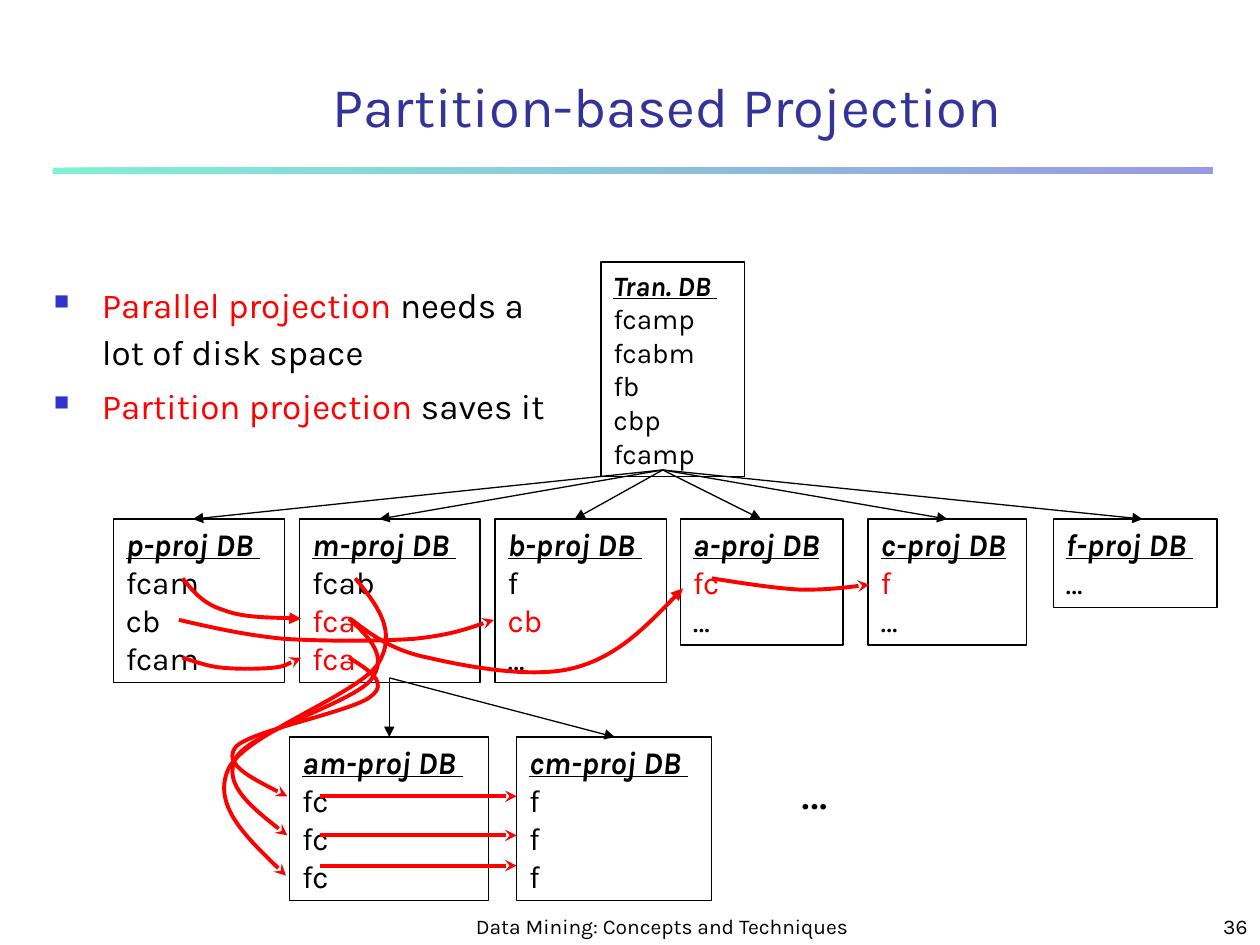
from dataclasses import dataclass

from lxml import etree
from pptx import Presentation
from pptx.dml.color import RGBColor
from pptx.enum.shapes import MSO_CONNECTOR, MSO_SHAPE
from pptx.enum.text import MSO_ANCHOR, MSO_AUTO_SIZE, PP_ALIGN
from pptx.oxml.ns import qn
from pptx.util import Emu, Pt

RECTANGLE = MSO_SHAPE.RECTANGLE
STRAIGHT = MSO_CONNECTOR.STRAIGHT
TOP, MIDDLE, BOTTOM = MSO_ANCHOR.TOP, MSO_ANCHOR.MIDDLE, MSO_ANCHOR.BOTTOM
LEFT, CENTER, RIGHT = PP_ALIGN.LEFT, PP_ALIGN.CENTER, PP_ALIGN.RIGHT
GROW = MSO_AUTO_SIZE.SHAPE_TO_FIT_TEXT

SCALE = 9144  # 100 px to the inch
FONT = "Karla"
BLACK, RED, NAVY, BLUE, GREEN = "000000", "FF0000", "333399", "3333CC", "00E4A8"
THIN, THICK = 0.75, 2.25

Point = tuple[int, int]


@dataclass
class Database:
    left: int
    top: int
    width: int
    height: int
    heading: str
    rows: tuple[str, ...]
    red_rows: tuple[int, ...] = ()
    size: int = 18


@dataclass
class Arrow:
    start: Point
    end: Point
    color: str = BLACK
    weight: float = THIN
    head: str = "triangle"


@dataclass
class Curve:
    """A start point followed by three Bezier points per segment."""
    points: tuple[Point, ...]
    head: str = "stealth"


PROJECTED_TOP, CONDITIONAL_TOP = 412, 585
DATABASES = (
    Database(477, 208, 114, 170, "Tran. DB ",
             ("fcamp", "fcabm", "fb", "cbp", "fcamp"), size=16),
    Database(90, PROJECTED_TOP, 136, 130, "p-proj DB ", ("fcam", "cb", "fcam")),
    Database(238, PROJECTED_TOP, 143, 130, "m-proj DB ", ("fcab", "fca", "fca"), (1, 2)),
    Database(393, PROJECTED_TOP, 136, 130, "b-proj DB ", ("f", "cb", "…"), (1,)),
    Database(540, PROJECTED_TOP, 129, 100, "a-proj DB", ("fc", "…"), (0,)),
    Database(689, PROJECTED_TOP, 126, 100, "c-proj DB", ("f", "…"), (0,)),
    Database(836, PROJECTED_TOP, 130, 70, "f-proj DB ", ("…",)),
    Database(230, CONDITIONAL_TOP, 158, 130, "am-proj DB ", ("fc",) * 3),
    Database(410, CONDITIONAL_TOP, 155, 130, "cm-proj DB ", ("f",) * 3),
)

ARROWS = (
    *(Arrow((526, 373), (x, PROJECTED_TOP)) for x in (153, 301, 456, 604, 752, 907)),
    *(Arrow((309, 538), (x, CONDITIONAL_TOP)) for x in (309, 488)),
    *(Arrow((254, y), (410, y), RED, THICK, "stealth") for y in (632, 663, 687)),
)

CURVES = (
    Curve(((145, 459), (153, 469), (161, 479), (177, 484),
           (192, 490), (216, 490), (239, 491)), "triangle"),
    Curve(((278, 491), (294, 503), (310, 516), (340, 522), (370, 529), (423, 539),
           (456, 530), (490, 521), (516, 494), (542, 467)), "triangle"),
    Curve(((565, 459), (590, 463), (616, 467), (636, 468),
           (657, 468), (673, 466), (690, 464))),
    Curve(((145, 522), (155, 525), (165, 529), (177, 530), (188, 531), (205, 531),
           (216, 530), (226, 529), (232, 525), (239, 522))),
    Curve(((277, 522), (293, 532), (309, 542), (294, 553), (279, 565), (198, 580),
           (187, 593), (177, 606), (202, 619), (228, 632))),
    Curve(((277, 491), (293, 506), (309, 521), (294, 540), (279, 558), (198, 581),
           (187, 602), (177, 622), (202, 643), (228, 663))),
    Curve(((282, 459), (299, 480), (316, 501), (300, 527), (283, 552), (193, 583),
           (181, 611), (169, 639), (198, 667), (227, 695))),
    Curve(((142, 492), (168, 498), (194, 504), (225, 507), (256, 509), (301, 509),
           (329, 507), (357, 504), (374, 498), (392, 492))),
)

BULLETS = (
    ("Parallel projection ", "needs a lot of disk space"),
    ("Partition projection ", "saves it"),
)


def px(length: int) -> Emu:
    return Emu(length * SCALE)


def rgb(color: str) -> RGBColor:
    return RGBColor.from_string(color)


def style(font, size: int, color: str) -> None:
    font.name = FONT
    font.size = Pt(size)
    font.color.rgb = rgb(color)


def add_text(page, left: int, top: int, width: int, height: int, text: str,
             size: int, color: str = BLACK, align=LEFT, anchor=TOP):
    box = page.shapes.add_textbox(px(left), px(top), px(width), px(height))
    frame = box.text_frame
    frame.word_wrap = True
    frame.vertical_anchor = anchor
    frame.text = text
    para = frame.paragraphs[0]
    para.alignment = align
    style(para.font, size, color)
    return frame


def add_rule(page) -> None:
    rule = page.shapes.add_shape(RECTANGLE, px(42), px(133), px(920), px(5))
    rule.shadow.inherit = False
    rule.line.fill.background()
    rule.fill.gradient()
    rule.fill.gradient_angle = 0
    for stop, color in zip(rule.fill.gradient_stops, (GREEN, BLUE)):
        stop.color.rgb = rgb(color)
    for node in rule.fill._xPr.iter(qn("a:srgbClr")):
        etree.SubElement(node, qn("a:alpha"), val="50000")


def add_bullets(page) -> None:
    frame = add_text(page, 33, 217, 425, 175, "", 20)
    for index, (term, rest) in enumerate(BULLETS):
        para = frame.add_paragraph() if index else frame.paragraphs[0]
        para.line_spacing = 1.1
        if index:
            para.space_before = Pt(5)
        properties = para._p.get_or_add_pPr()
        properties.set("marL", str(px(38)))
        properties.set("indent", str(-px(38)))
        for old in properties.findall(qn("a:defRPr")):
            properties.remove(old)
        bullet_color = etree.SubElement(properties, qn("a:buClr"))
        etree.SubElement(bullet_color, qn("a:srgbClr"), val=BLUE)
        etree.SubElement(properties, qn("a:buSzPct"), val="60000")
        etree.SubElement(properties, qn("a:buChar"), char="■")
        for text, color in ((term, RED), (rest, BLACK)):
            span = para.add_run()
            span.text = text
            style(span.font, 20, color)


def add_database(page, database: Database) -> None:
    box = page.shapes.add_shape(RECTANGLE, px(database.left), px(database.top),
                                px(database.width), px(database.height))
    box.shadow.inherit = False
    box.fill.background()
    box.line.color.rgb = rgb(BLACK)
    box.line.width = Pt(THIN)
    frame = box.text_frame
    frame.word_wrap = False
    frame.auto_size = GROW
    frame.vertical_anchor = TOP
    frame.text = "\n".join((database.heading, *database.rows))
    for index, para in enumerate(frame.paragraphs):
        para.alignment = LEFT
        font = para.runs[0].font
        style(font, database.size, RED if index - 1 in database.red_rows else BLACK)
        font.bold = font.italic = font.underline = index == 0


def finish_line(shape, color: str, weight: float, head: str) -> None:
    shape.line.color.rgb = rgb(color)
    shape.line.width = Pt(weight)
    etree.SubElement(shape.line._get_or_add_ln(), qn("a:tailEnd"), type=head)


def add_arrow(page, arrow: Arrow) -> None:
    connector = page.shapes.add_connector(STRAIGHT, *map(px, arrow.start + arrow.end))
    finish_line(connector, arrow.color, arrow.weight, arrow.head)
    etree.SubElement(connector._element.spPr, qn("a:effectLst"))


def add_curve(page, curve: Curve) -> None:
    builder = page.shapes.build_freeform(*curve.points[0], scale=SCALE)
    builder.add_line_segments(curve.points[1:], close=False)
    shape = builder.convert_to_shape()
    shape.shadow.inherit = False
    shape.fill.background()
    finish_line(shape, RED, THICK, curve.head)
    outline = next(shape._element.iter(qn("a:path")))
    lines = outline.findall(qn("a:lnTo"))
    for first in range(0, len(lines), 3):
        bezier = etree.SubElement(outline, qn("a:cubicBezTo"))
        for line in lines[first:first + 3]:
            bezier.append(line[0])
            outline.remove(line)


def main() -> None:
    deck = Presentation()
    deck.slide_width, deck.slide_height = px(1000), px(750)
    page = deck.slides.add_slide(deck.slide_layouts[6])
    add_rule(page)
    add_text(page, 367, 708, 317, 42, "Data Mining: Concepts and Techniques", 12,
             align=CENTER, anchor=BOTTOM)
    add_text(page, 792, 708, 208, 42, "36", 12, align=RIGHT, anchor=BOTTOM)
    add_text(page, 100, 50, 859, 67, "Partition-based Projection", 32, NAVY, CENTER, MIDDLE)
    add_bullets(page)
    for database in DATABASES:
        add_database(page, database)
    for arrow in ARROWS:
        add_arrow(page, arrow)
    for curve in CURVES:
        add_curve(page, curve)
    add_text(page, 626, 599, 50, 57, "…", 28)
    deck.save("out.pptx")


if __name__ == "__main__":
    main()
